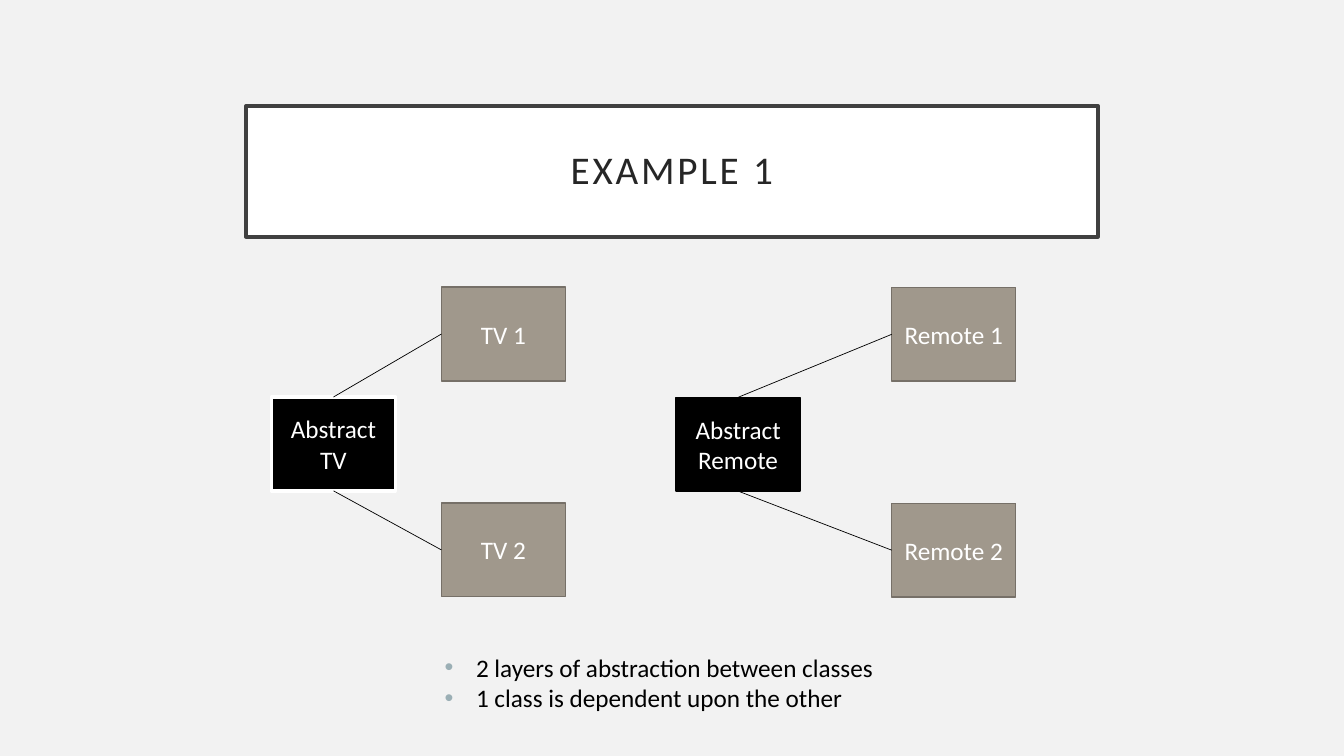
from lxml import etree
from pptx import Presentation
from pptx.dml.color import RGBColor
from pptx.enum import shapes, text
from pptx.oxml.ns import qn
from pptx.util import Pt

BACKGROUND = RGBColor(0xF2, 0xF2, 0xF2)
WHITE = RGBColor(0xFF, 0xFF, 0xFF)
BLACK = RGBColor(0, 0, 0)
FRAME = RGBColor(0x40, 0x40, 0x40)
TITLE_INK = RGBColor(0x26, 0x26, 0x26)
TAUPE = RGBColor(0xA0, 0x98, 0x8C)
TAUPE_EDGE = RGBColor(0x76, 0x70, 0x68)
BULLET = RGBColor(0x9B, 0xAF, 0xB5)

FONT = "Calibri"
NODE_WIDTH, NODE_HEIGHT = 88.6, 67


def place(shape, left, top, width, height):
    """Move and size a shape, in points."""
    shape.left, shape.top = Pt(left), Pt(top)
    shape.width, shape.height = Pt(width), Pt(height)


def paint(shape, fill, edge, weight):
    """Give a shape a solid fill and outline."""
    shape.fill.solid()
    shape.fill.fore_color.rgb = fill
    shape.line.color.rgb = edge
    shape.line.width = Pt(weight)


def style(para, size, colour, alignment):
    """Set the font and alignment of a paragraph."""
    para.alignment = alignment
    para.font.name = FONT
    para.font.size = Pt(size)
    para.font.color.rgb = colour


def add_title(page, words, left, top, width, height):
    """Fill the title placeholder as a framed, letter-spaced heading."""
    title = page.shapes.title
    place(title, left, top, width, height)
    paint(title, WHITE, FRAME, 2.5)
    frame = title.text_frame
    frame.text = words
    frame.word_wrap = True
    frame.auto_size = text.MSO_AUTO_SIZE.NONE
    frame.vertical_anchor = text.MSO_ANCHOR.MIDDLE
    frame.margin_left = frame.margin_right = Pt(14.4)
    frame.margin_top = frame.margin_bottom = Pt(14.4)
    para = frame.paragraphs[0]
    style(para, 28, TITLE_INK, text.PP_ALIGN.CENTER)
    para.line_spacing = 0.9
    para.runs[0].font._element.set("spc", "200")


def add_node(page, words, left, top, fill, edge, weight):
    """Add one labelled class box."""
    node = page.shapes.add_shape(
        shapes.MSO_SHAPE.RECTANGLE, Pt(left), Pt(top), Pt(NODE_WIDTH), Pt(NODE_HEIGHT)
    )
    node.shadow.inherit = False
    paint(node, fill, edge, weight)
    frame = node.text_frame
    frame.text = words
    frame.word_wrap = True
    frame.vertical_anchor = text.MSO_ANCHOR.MIDDLE
    style(frame.paragraphs[0], 18, WHITE, text.PP_ALIGN.CENTER)
    return node


def add_link(page, parent, side, child):
    """Join a side of the parent to the left side of the child."""
    link = page.shapes.add_connector(shapes.MSO_CONNECTOR.STRAIGHT, 0, 0, 0, 0)
    link.begin_connect(parent, side)
    link.end_connect(child, 1)
    link.line.color.rgb = BLACK
    link.line.width = Pt(0.5)
    etree.SubElement(link._element.spPr, qn("a:effectLst"))


def add_hierarchy(page, name, left, top, width, height, edge, weight):
    """Draw an abstract class with its two concrete classes in the given box."""
    drop = height - NODE_HEIGHT
    parent = add_node(
        page, f"Abstract {name}", left, top + drop / 2 + 1.4, BLACK, edge, weight
    )
    for number, side in ((1, 0), (2, 2)):
        child = add_node(
            page, f"{name} {number}", left + width - NODE_WIDTH,
            top + (number - 1) * drop, TAUPE, TAUPE_EDGE, 1,
        )
        add_link(page, parent, side, child)


def add_bullets(page, lines, left, top, width, height):
    """Fill the body placeholder with the bulleted remarks."""
    body = page.placeholders[1]
    place(body, left, top, width, height)
    frame = body.text_frame
    frame.text = "\n".join(lines)
    frame.word_wrap = False
    frame.auto_size = text.MSO_AUTO_SIZE.SHAPE_TO_FIT_TEXT
    for para in frame.paragraphs:
        style(para, 18, BLACK, text.PP_ALIGN.JUSTIFY)
        para.space_before = para.space_after = Pt(0)
        props = para._element.get_or_add_pPr()
        props.set("marL", str(Pt(22.5)))
        props.set("indent", str(Pt(-22.5)))
        tint = etree.Element(qn("a:buClr"))
        etree.SubElement(tint, qn("a:srgbClr"), val=str(BULLET))
        face = etree.Element(qn("a:buFont"), typeface="Arial")
        mark = etree.Element(qn("a:buChar"), char="•")
        defaults = props.find(qn("a:defRPr"))
        for part in (tint, face, mark):
            defaults.addprevious(part)


def main():
    """Build the slide and save it."""
    deck = Presentation()
    deck.slide_width, deck.slide_height = Pt(960), Pt(540)
    page = deck.slides.add_slide(deck.slide_layouts[1])
    page.background.fill.solid()
    page.background.fill.fore_color.rgb = BACKGROUND
    add_title(page, "EXAMPLE 1", 175.7, 75.6, 608.6, 93.6)
    add_hierarchy(page, "TV", 193.9, 205.1, 210, 221.2, WHITE, 2.5)
    add_hierarchy(page, "Remote", 483, 205.3, 242.6, 221.2, BLACK, 1)
    remarks = (
        "2 layers of abstraction between classes",
        "1 class is dependent upon the other",
    )
    add_bullets(page, remarks, 310.3, 462.2, 326.9, 51.1)
    deck.save("out.pptx")


if __name__ == "__main__":
    main()
